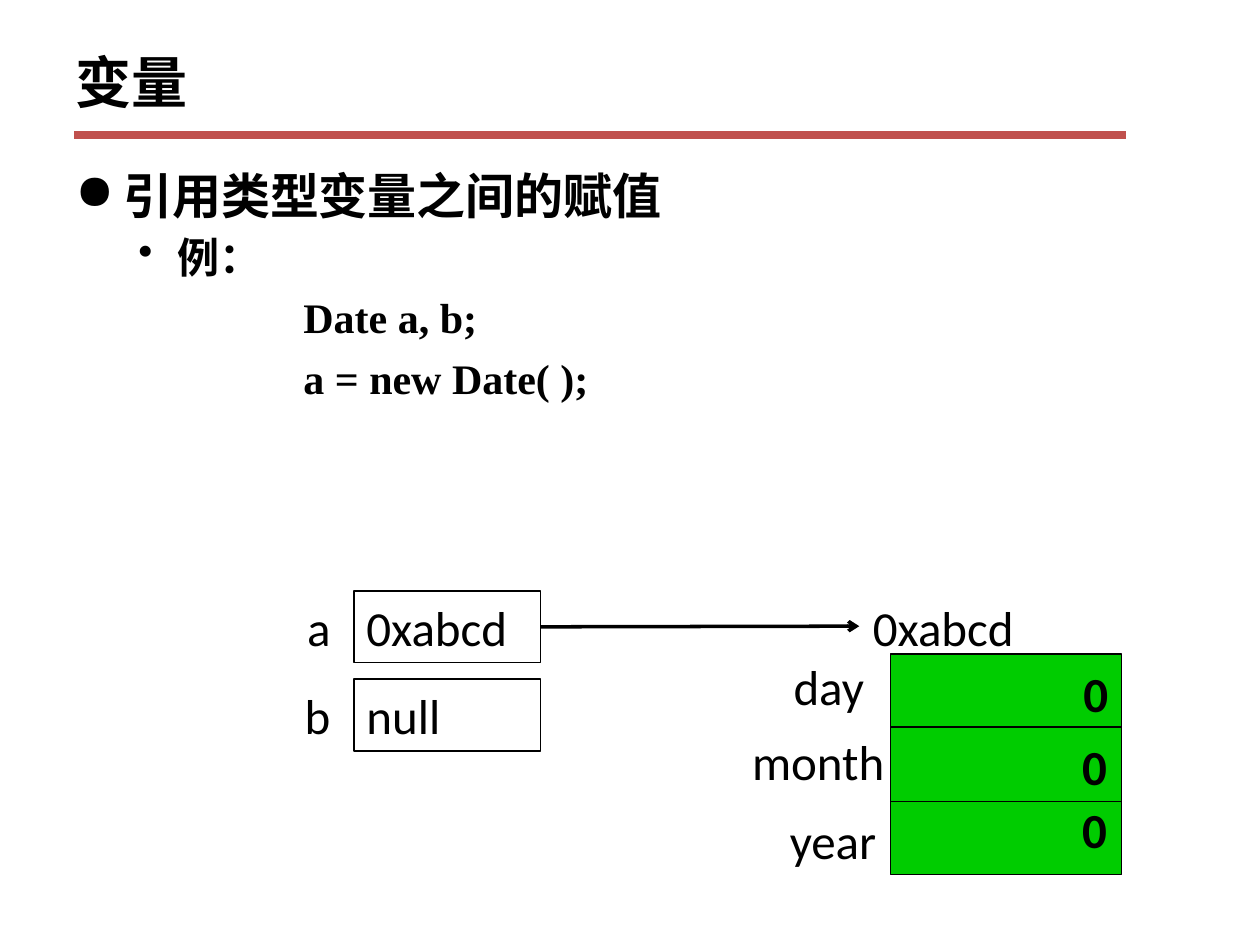
from lxml import etree
from pptx import Presentation
from pptx.dml.color import RGBColor
from pptx.enum import shapes, text
from pptx.oxml.ns import qn
from pptx.util import Emu, Pt

PX = 9144
COLORS = {"ink": "000000", "rule": "C0504D", "record": "00CC00"}
CJK = "Noto Sans CJK SC"
LABEL = {"size": Pt(28), "name": "Calibri", "bold": False}
VALUE = {**LABEL, "bold": True}
TITLE = {"size": Pt(32), "name": CJK, "bold": True}
TOPIC = {"size": Pt(28), "name": "Times New Roman", "bold": True}
DETAIL = {**TOPIC, "size": Pt(24)}


def px(*lengths):
    """Turn px lengths into EMU."""
    return [Emu(length * PX) for length in lengths]


def color(name):
    """Look up a colour by its role."""
    return RGBColor.from_string(COLORS[name])


def write(paragraph, words, style):
    """Add one formatted run to a paragraph."""
    run = paragraph.add_run()
    run.text = words
    for key, value in style.items():
        setattr(run.font, key, value)
    run.font.color.rgb = color("ink")
    etree.SubElement(run._r.get_or_add_rPr(), qn("a:ea"), typeface=CJK)


def label(parent, words, left, top, width, height=57, style=LABEL):
    """Place a one-line text that does not wrap."""
    box = parent.add_textbox(*px(left, top, width, height))
    frame = box.text_frame
    frame.word_wrap = False
    frame.auto_size = text.MSO_AUTO_SIZE.SHAPE_TO_FIT_TEXT
    write(frame.paragraphs[0], words, style)


def line(parent, start, end, weight, role="ink"):
    """Draw a straight line without a shadow."""
    connector = parent.add_connector(shapes.MSO_CONNECTOR.STRAIGHT, *px(*start, *end))
    connector.line.color.rgb = color(role)
    connector.line.width = Pt(weight)
    etree.SubElement(connector._element.spPr, qn("a:effectLst"))
    return connector


def rectangle(parent, left, top, width, height, fill=None):
    """Draw a thinly outlined rectangle, filled or open."""
    rect = parent.add_shape(shapes.MSO_SHAPE.RECTANGLE, *px(left, top, width, height))
    rect.shadow.inherit = False
    rect.line.color.rgb = color("ink")
    rect.line.width = Pt(0.75)
    if fill:
        rect.fill.solid()
        rect.fill.fore_color.rgb = color(fill)
    else:
        rect.fill.background()
    return rect


def add_heading(slide, left, top, width, height):
    """Place the title with the rule under it."""
    line(slide.shapes, (left + 9, top + 86), (left + 844, top + 86), 4.5, "rule")
    frame = slide.shapes.add_textbox(*px(left, top, width, height)).text_frame
    frame.word_wrap = True
    frame.vertical_anchor = text.MSO_ANCHOR.MIDDLE
    write(frame.paragraphs[0], "变量", TITLE)


def add_outline(slide, left, top, width, height):
    """Place the bulleted topic, its example and the code."""
    frame = slide.shapes.add_textbox(*px(left, top, width, height)).text_frame
    frame.word_wrap = True
    rows = [
        ("引用类型变量之间的赋值", TOPIC, 0, 38, -38, "●", 36),
        ("例：", DETAIL, 1, 81, -31, "•", 27),
        ("Date a, b;", DETAIL, 1, 181, 0, None, 28),
        ("a = new Date( );", DETAIL, 1, 181, 0, None, 29),
    ]
    for index, (words, style, level, margin, indent, bullet, pitch) in enumerate(rows):
        paragraph = frame.add_paragraph() if index else frame.paragraphs[0]
        paragraph.level = level
        paragraph.space_before = Pt(6)
        paragraph.line_spacing = Pt(pitch)
        props = paragraph._p.get_or_add_pPr()
        props.set("marL", str(margin * PX))
        props.set("indent", str(indent * PX))
        if bullet:
            etree.SubElement(props, qn("a:buChar"), char=bullet)
        else:
            etree.SubElement(props, qn("a:buNone"))
        write(paragraph, words, style)


def add_variable(slide, left, top, width, height, name, name_width, value):
    """Place a variable's name beside its value cell and return the cell."""
    label(slide.shapes, name, left - name_width, top, name_width, height)
    cell = rectangle(slide.shapes, left, top, width, height)
    frame = cell.text_frame
    frame.word_wrap = True
    frame.vertical_anchor = text.MSO_ANCHOR.TOP
    paragraph = frame.paragraphs[0]
    paragraph.alignment = text.PP_ALIGN.LEFT
    write(paragraph, value, LABEL)
    return cell


def add_record(slide, left, top, width, height):
    """Place the Date object with its address, fields and values."""
    record = slide.shapes.add_group_shape().shapes
    rectangle(record, left, top, width, height, "record")
    for row in (1, 2):
        y = top + round(height * row / 3)
        line(record, (left, y), (left + width, y), 0.75)
    fields = [
        ("day", -87, -3, 76, 143, 3),
        ("month", -120, 57, 125, 142, 61),
        ("year", -90, 119, 89, 142, 111),
    ]
    for field, x, y, field_width, value_x, value_y in fields:
        label(record, field, left + x, top + y, field_width)
        label(record, "0", left + value_x, top + value_y, 39, style=VALUE)
    label(record, "0xabcd", left - 24, top - 50, 132)


def add_reference(slide, cell, end):
    """Draw the arrow from a value cell to the object's address."""
    arrow = line(slide.shapes, end, end, 2)
    arrow.begin_connect(cell, 3)
    etree.SubElement(arrow.line._get_or_add_ln(), qn("a:tailEnd"), type="arrow")


def main():
    """Build and save the slide."""
    deck = Presentation()
    deck.slide_width, deck.slide_height = px(1000, 750)
    slide = deck.slides.add_slide(deck.slide_layouts[6])
    add_heading(slide, 50, 21, 900, 87)
    add_outline(slide, 50, 123, 900, 583)
    reference = add_variable(slide, 281, 469, 148, 57, "a", 47, "0xabcd")
    add_variable(slide, 281, 539, 148, 57, "b", 49, "null")
    add_record(slide, 707, 519, 183, 175)
    add_reference(slide, reference, (682, 497))
    deck.save("out.pptx")


if __name__ == "__main__":
    main()
